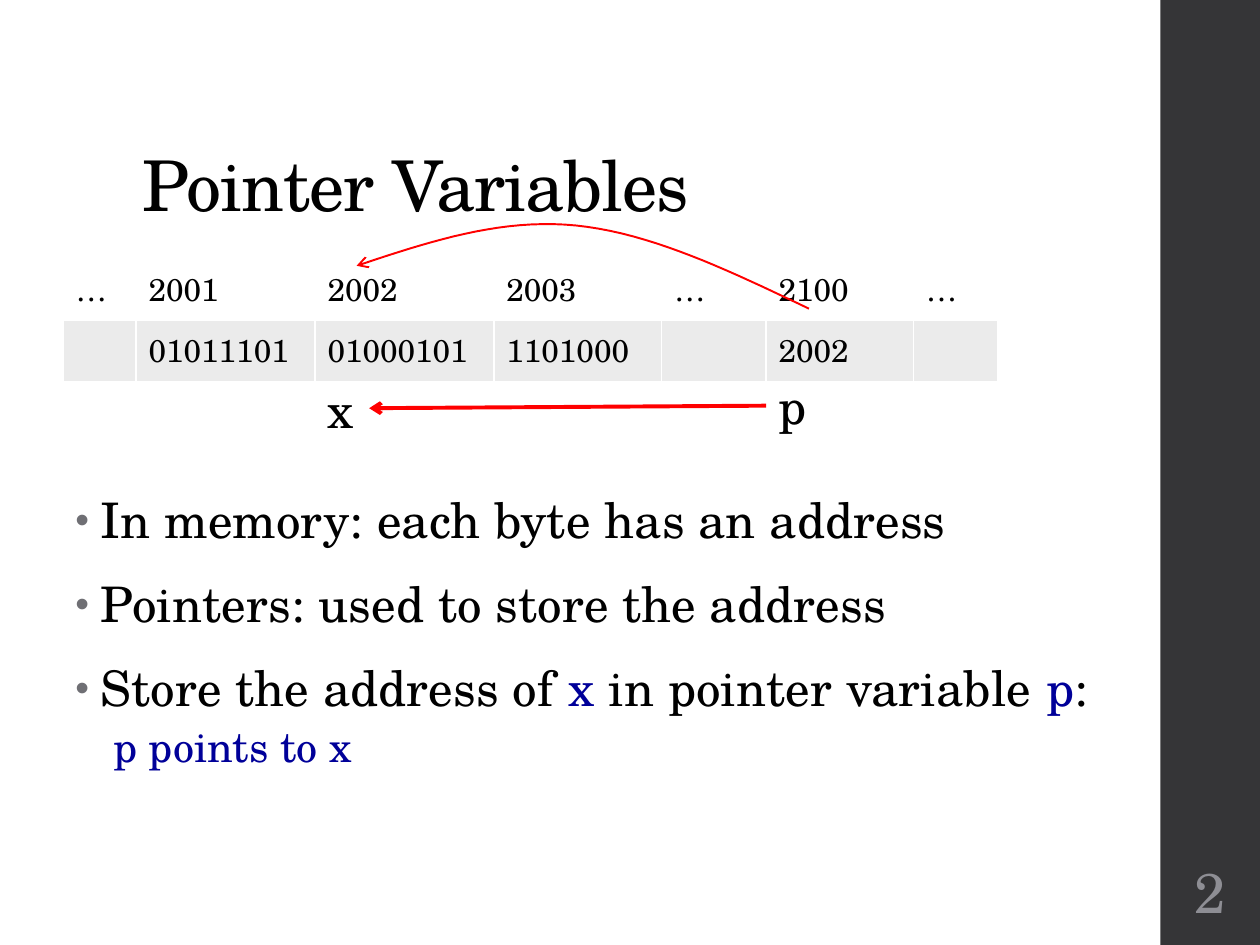
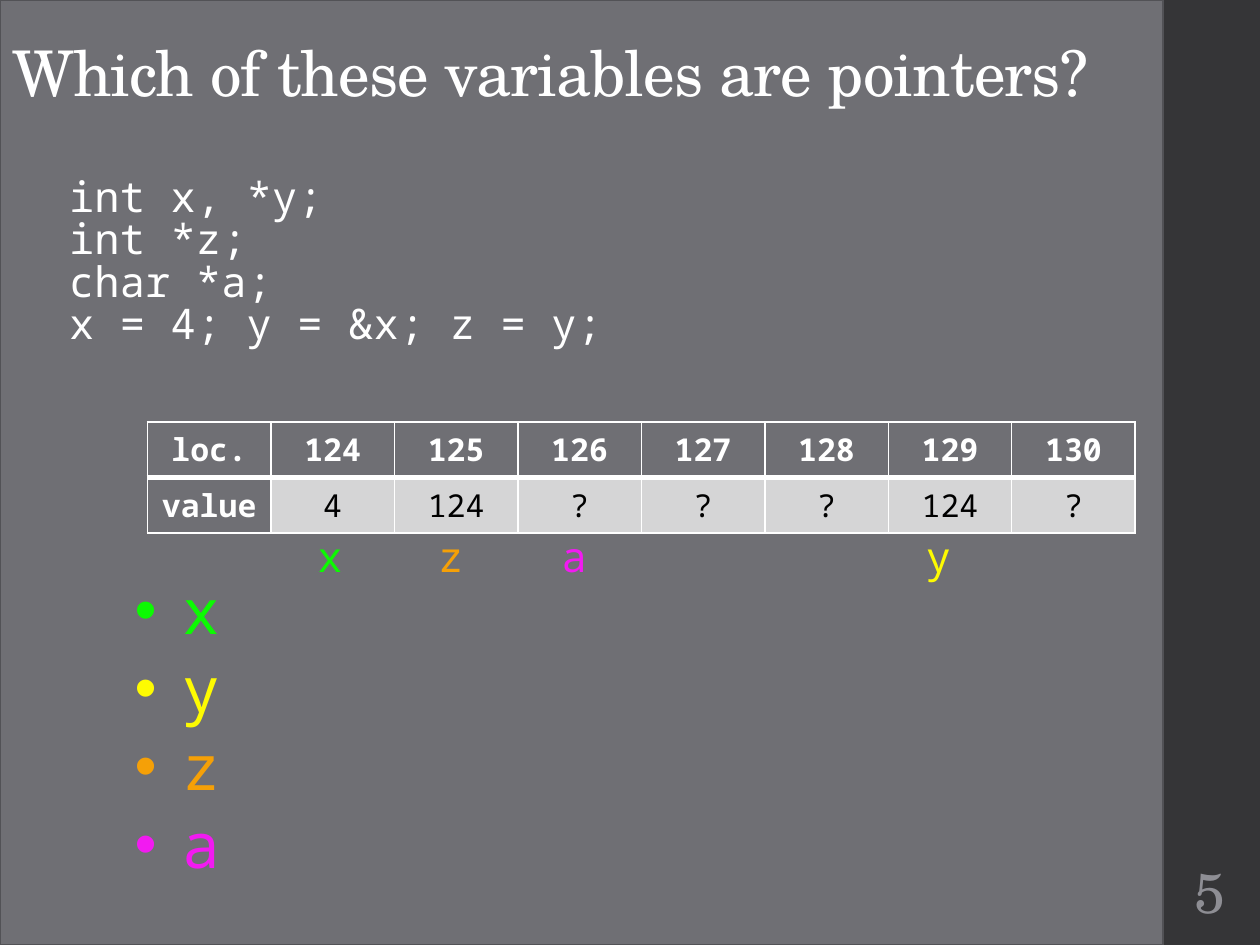
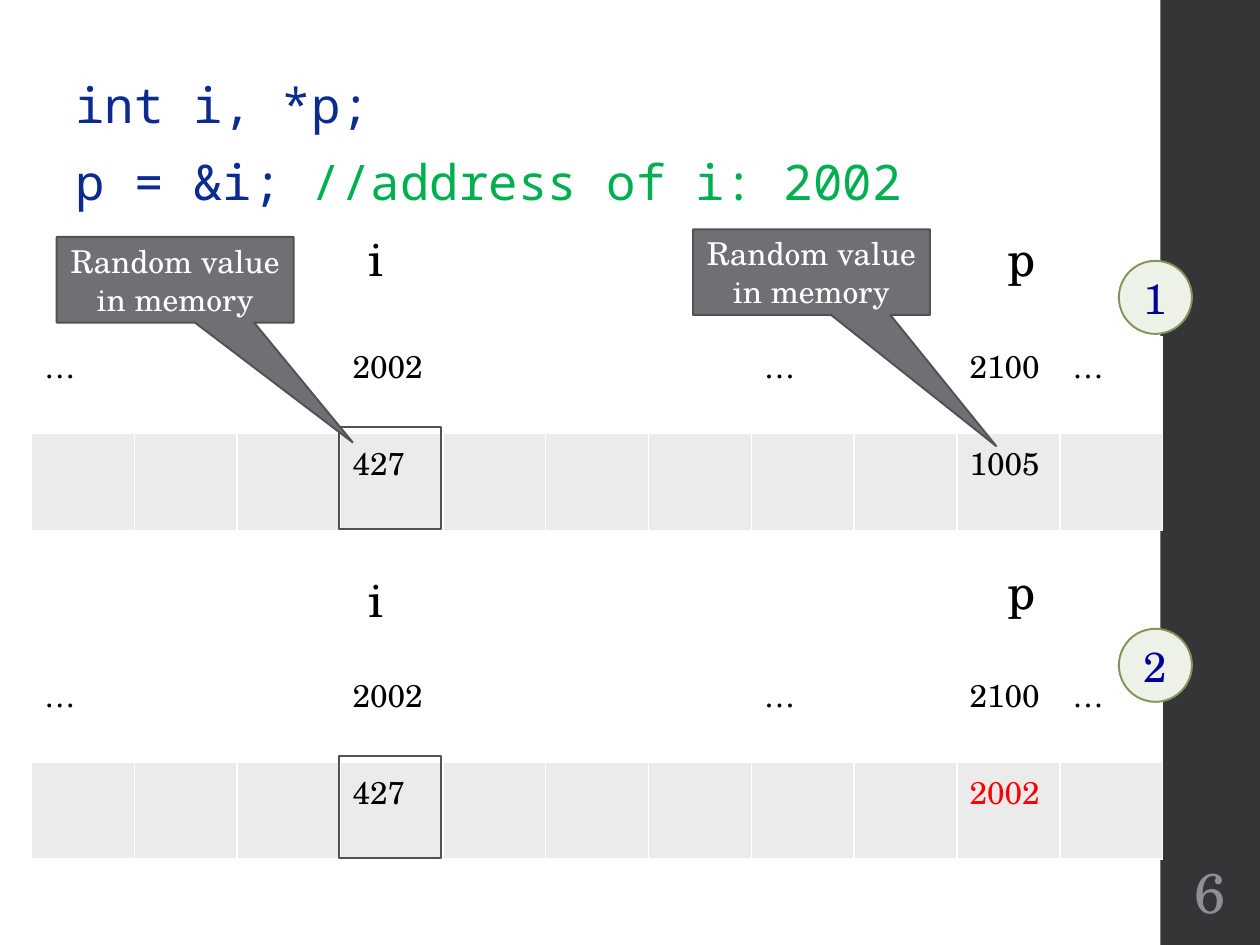
from pptx import Presentation
from pptx.dml.color import RGBColor
from pptx.enum.shapes import MSO_CONNECTOR, MSO_SHAPE
from pptx.enum.text import MSO_ANCHOR, PP_ALIGN
from pptx.oxml.ns import qn
from pptx.util import Inches, Pt
from lxml.etree import SubElement

COLOURS = {
    "white": "FFFFFF", "black": "000000", "band": "353537", "grey": "6F6F74",
    "outline": "525256", "number": "8E8E94", "cell": "EBEBEB", "value": "D5D5D6",
    "blue": "000099", "code": "0B2B91", "comment": "00B050", "red": "FF0000",
    "lime": "0CFA02", "yellow": "FEFB01", "orange": "F5A007", "pink": "F21AF1",
    "badge": "EDF1E7", "badge_line": "81955B",
}
SERIF = "TeX Gyre Schola"
MONO = "Noto Sans Mono"


def rgb(name):
    """Return the named colour."""
    return RGBColor.from_string(COLOURS[name])


def box(lengths):
    """Turn numbers of inches into lengths."""
    return [Inches(length) for length in lengths]


def write(paragraph, text, size, colour="black", font=SERIF, bold=False,
          align=None, tracking=0, line=None, before=0, after=0):
    """Write text, or (text, colour) runs, into a styled paragraph."""
    runs = [(text, colour)] if isinstance(text, str) else text
    paragraph.alignment = align
    paragraph.line_spacing = line
    paragraph.space_before, paragraph.space_after = Pt(before), Pt(after)
    paragraph.font.size, paragraph.font.name = Pt(size), font
    paragraph.font.bold = bold
    paragraph.font.color.rgb = rgb(colour)
    for words, run_colour in runs:
        run = paragraph.add_run()
        run.text = words
        if run_colour != colour:
            run.font.color.rgb = rgb(run_colour)
        if tracking:
            run._r.get_or_add_rPr().set("spc", str(int(tracking * 100)))


def indent(paragraph, margin, hanging=0, bullet=False, colour=None, percent=100):
    """Indent a paragraph and give it a bullet if asked."""
    properties = paragraph._p.get_or_add_pPr()
    properties.set("marL", str(Inches(margin)))
    properties.set("indent", str(-Inches(hanging)))
    if not bullet:
        return
    if colour:
        SubElement(SubElement(properties, qn("a:buClr")), qn("a:srgbClr"),
                   val=COLOURS[colour])
    SubElement(properties, qn("a:buSzPct"), val=str(percent * 1000))
    SubElement(properties, qn("a:buFont"), typeface="Arial")
    SubElement(properties, qn("a:buChar"), char="•")


def text_frame(slide, place, anchor=MSO_ANCHOR.TOP):
    """Add a wrapping text box and return its frame."""
    frame = slide.shapes.add_textbox(*box(place)).text_frame
    frame.word_wrap = True
    frame.vertical_anchor = anchor
    return frame


def next_paragraph(frame):
    """Return the unused first paragraph or a new one."""
    first = frame.paragraphs[0]
    return frame.add_paragraph() if first.runs else first


def add_label(slide, name, left, top, size=28, colour="black", font=SERIF, width=0.58):
    """Add a variable name beside its memory cell."""
    frame = text_frame(slide, (left, top, width, 0.57))
    write(frame.paragraphs[0], name, size, colour, font)


def add_title(slide, title, place, size, colour="black"):
    """Add a slide title standing on the bottom of its box."""
    frame = text_frame(slide, place, MSO_ANCHOR.BOTTOM)
    write(frame.paragraphs[0], title, size, colour, tracking=-0.5, line=0.9)


def add_figure(slide, preset, place, fill=None, line=None, text="", size=18, colour="white"):
    """Add a preset shape with centred text."""
    figure = slide.shapes.add_shape(preset, *box(place))
    figure.shadow.inherit = False
    if fill:
        figure.fill.solid()
        figure.fill.fore_color.rgb = rgb(fill)
    else:
        figure.fill.background()
    if line:
        figure.line.color.rgb = rgb(line)
        figure.line.width = Pt(1.1)
    else:
        figure.line.fill.background()
    if text:
        figure.text_frame.vertical_anchor = MSO_ANCHOR.MIDDLE
        write(figure.text_frame.paragraphs[0], text, size, colour, align=PP_ALIGN.CENTER)
    return figure


def add_callout(slide, left, top, tip):
    """Add a callout whose tip is relative to its centre."""
    callout = add_figure(slide, MSO_SHAPE.RECTANGULAR_CALLOUT, (left, top, 1.88, 0.68),
                         "grey", "outline", "Random value in memory")
    callout.adjustments[0], callout.adjustments[1] = tip


def style_arrow(arrow, width):
    """Make a line red with an open arrowhead at its end."""
    arrow.line.color.rgb = rgb("red")
    arrow.line.width = Pt(width)
    SubElement(arrow.line._get_or_add_ln(), qn("a:tailEnd"), type="arrow")


def add_arrow(slide, start, end):
    """Add a straight arrow."""
    arrow = slide.shapes.add_connector(MSO_CONNECTOR.STRAIGHT, *box(start + end))
    SubElement(arrow._element.spPr, qn("a:effectLst"))
    style_arrow(arrow, 2.25)


def bezier(points, t):
    """Return the point at t on a cubic curve."""
    weights = ((1 - t) ** 3, 3 * t * (1 - t) ** 2, 3 * t ** 2 * (1 - t), t ** 3)
    return tuple(Inches(sum(w * p[axis] for w, p in zip(weights, points)))
                 for axis in (0, 1))


def add_curved_arrow(slide, curves, steps=20):
    """Add an arrow that follows joined cubic curves."""
    track = [bezier(curve, step / steps) for curve in curves for step in range(1, steps + 1)]
    builder = slide.shapes.build_freeform(*bezier(curves[0], 0))
    builder.add_line_segments(track, close=False)
    arrow = builder.convert_to_shape()
    arrow.shadow.inherit = False
    arrow.fill.background()
    style_arrow(arrow, 1.1)


def set_borders(cell, top=1, bottom=1):
    """Give a cell white borders."""
    properties = cell._tc.get_or_add_tcPr()
    for index, (side, width) in enumerate(
            (("L", 1), ("R", 1), ("T", top), ("B", bottom))):
        border = SubElement(properties, qn(f"a:ln{side}"), w=str(Pt(width)))
        SubElement(SubElement(border, qn("a:solidFill")), qn("a:srgbClr"),
                   val=COLOURS["white"])
        properties.insert(index, border)


def add_memory(slide, left, top, widths, heights, rows, style, rule=1):
    """Add a two-row memory table; style gives fill and text format by position."""
    table = slide.shapes.add_table(
        len(rows), len(widths), *box((left, top, sum(widths), sum(heights)))).table
    table.first_row = table.horz_banding = False
    for column, width in zip(table.columns, widths):
        column.width = Inches(width)
    for r, (row, height) in enumerate(zip(rows, heights)):
        table.rows[r].height = Inches(height)
        for c, text in enumerate(row):
            cell = table.cell(r, c)
            fill, text_format = style(r, c, text)
            cell.fill.solid()
            cell.fill.fore_color.rgb = rgb(fill)
            set_borders(cell, *((1, rule) if r == 0 else (rule, 1)))
            if text:
                write(cell.text_frame.paragraphs[0], text, 18, **text_format)


def plain_style(r, c, text):
    """Style addresses on white above values on light grey."""
    return ("white", "cell")[r], {}


def assigned_style(r, c, text):
    """Style a plain table with the newly stored pointer in red."""
    return ("white", "cell")[r], {"colour": "red" if r and text == "2002" else "black"}


def headed_style(r, c, text):
    """Style a table with a bold header row and column."""
    head = r == 0 or c == 0
    return "grey" if head else "value", {
        "colour": "white" if head else "black", "font": MONO,
        "bold": head, "align": PP_ALIGN.CENTER}


def add_slide(deck, number, panel=False):
    """Add a slide with the side band and its number."""
    slide = deck.slides.add_slide(deck.slide_layouts[6])
    add_figure(slide, MSO_SHAPE.RECTANGLE, (9.21, 0, 0.8, 7.5), "band")
    if panel:
        add_figure(slide, MSO_SHAPE.RECTANGLE, (0, 0, 9.23, 7.5), "grey", "outline")
    frame = text_frame(slide, (9.23, 6.75, 0.75, 0.65), MSO_ANCHOR.MIDDLE)
    frame.margin_left = frame.margin_right = Inches(0.03)
    write(frame.paragraphs[0], str(number), 32, "number", align=PP_ALIGN.CENTER)
    return slide


def build_pointer_variables(deck):
    """Show how a pointer holds an address."""
    slide = add_slide(deck, 2)
    add_title(slide, "Pointer Variables", (1.03, 0.4, 7.95, 1.45), 40)
    body = text_frame(slide, (0.5, 3.87, 8.73, 2.39))
    points = (
        "In memory: each byte has an address",
        "Pointers: used to store the address",
        (("Store the address of ", "black"), ("x", "blue"),
         (" in pointer variable ", "black"), ("p", "blue"), (":", "black")),
    )
    for point in points:
        paragraph = next_paragraph(body)
        indent(paragraph, 0.2, 0.2, True, "grey", 80)
        write(paragraph, point, 28, tracking=0.1, line=0.95, before=14, after=2)
    conclusion = next_paragraph(body)
    indent(conclusion, 0.3)
    write(conclusion, "p points to x", 24, "blue", line=0.9, before=3, after=3)
    add_memory(slide, 0.5, 2.06, (0.58, 1.42, 1.42, 1.33, 0.83, 1.17, 0.67), (0.48, 0.49),
               (("…", "2001", "2002", "2003", "…", "2100", "…"),
                ("", "01011101", "01000101", "1101000", "", "2002", "")), plain_style)
    add_label(slide, "x", 2.5, 2.96, width=0.43)
    add_label(slide, "p", 6.08, 2.93)
    add_arrow(slide, (6.08, 3.22), (2.93, 3.24))
    add_curved_arrow(slide, (
        ((6.42, 2.45), (5.79, 2.15), (5.17, 1.85), (4.57, 1.79)),
        ((4.57, 1.79), (3.97, 1.73), (3.4, 1.92), (2.83, 2.11))))


def build_pointer_quiz(deck):
    """Ask which variables are pointers."""
    slide = add_slide(deck, 5, panel=True)
    add_title(slide, "Which of these variables are pointers?", (0, -0.08, 9.23, 1),
              36, "white")
    code = text_frame(slide, (0.25, 1.37, 4.75, 1.63))
    for statement in ("int x, *y;", "int *z;", "char *a;", "x = 4; y = &x; z = y;"):
        paragraph = next_paragraph(code)
        indent(paragraph, 0.2)
        write(paragraph, statement, 24, "white", MONO, tracking=0.1, line=0.84)
    add_memory(slide, 1.17, 3.35, [0.98] * 8, (0.44, 0.44),
               (["loc.", *map(str, range(124, 131))],
                ("value", "4", "124", "?", "?", "?", "124", "?")), headed_style, rule=3)
    answers = text_frame(slide, (0.97, 4.49, 8.46, 3.01))
    variables = (("x", "lime", 2.42), ("y", "yellow", 7.25),
                 ("z", "orange", 3.38), ("a", "pink", 4.36))
    for name, colour, left in variables:
        paragraph = next_paragraph(answers)
        indent(paragraph, 0.38, 0.38, True)
        write(paragraph, name, 36, colour, MONO, before=1.3)
        add_label(slide, name, left, 4.16, 24, colour, MONO, width=0.5)


def build_address_assignment(deck):
    """Show memory before and after a pointer is assigned."""
    slide = add_slide(deck, 6)
    code = text_frame(slide, (0.5, 0.58, 9, 1.52))
    for statement in ("int i, *p;",
                      (("p = &i; ", "code"), ("//address of i: 2002", "comment"))):
        write(next_paragraph(code), statement, 28, "code", MONO,
              tracking=0.1, line=0.95, before=10, after=2)
    addresses = ("…", "", "", "2002", "", "", "", "…", "", "2100", "…")
    steps = (("1", 2.67, 1.76, 1.76, 2.07, "1005"), ("2", 5.28, 4.46, 4.4, 4.99, "2002"))
    for step, top, i_top, p_top, badge_top, pointer in steps:
        values = ("", "", "", "427", "", "", "", "", "", pointer, "")
        add_memory(slide, 0.25, top, [8.98 / 11] * 11, (0.77, 0.77),
                   (addresses, values), assigned_style)
        add_label(slide, "i", 2.83, i_top)
        add_label(slide, "p", 7.9, p_top)
        add_figure(slide, MSO_SHAPE.RECTANGLE, (2.69, top + 0.72, 0.81, 0.81),
                   line="outline")
        add_figure(slide, MSO_SHAPE.OVAL, (8.88, badge_top, 0.58, 0.58),
                   "badge", "badge_line", step, 24, "blue")
    add_callout(slide, 5.5, 1.82, (0.78, 2.03))
    add_callout(slide, 0.45, 1.88, (0.75, 1.9))


def main():
    """Build and save the deck."""
    deck = Presentation()
    deck.slide_width, deck.slide_height = Inches(10), Inches(7.5)
    build_pointer_variables(deck)
    build_pointer_quiz(deck)
    build_address_assignment(deck)
    deck.save("out.pptx")


if __name__ == "__main__":
    main()
